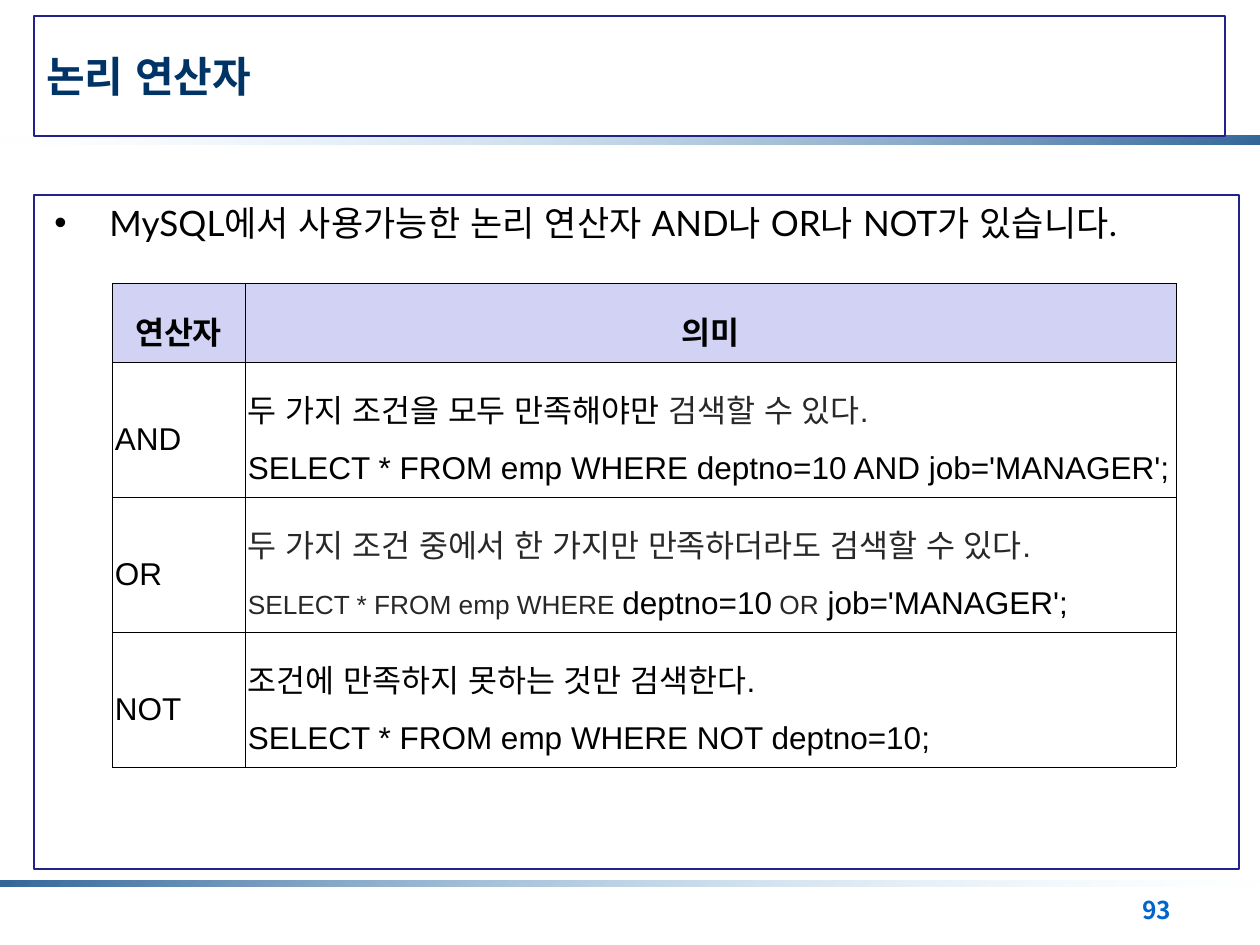
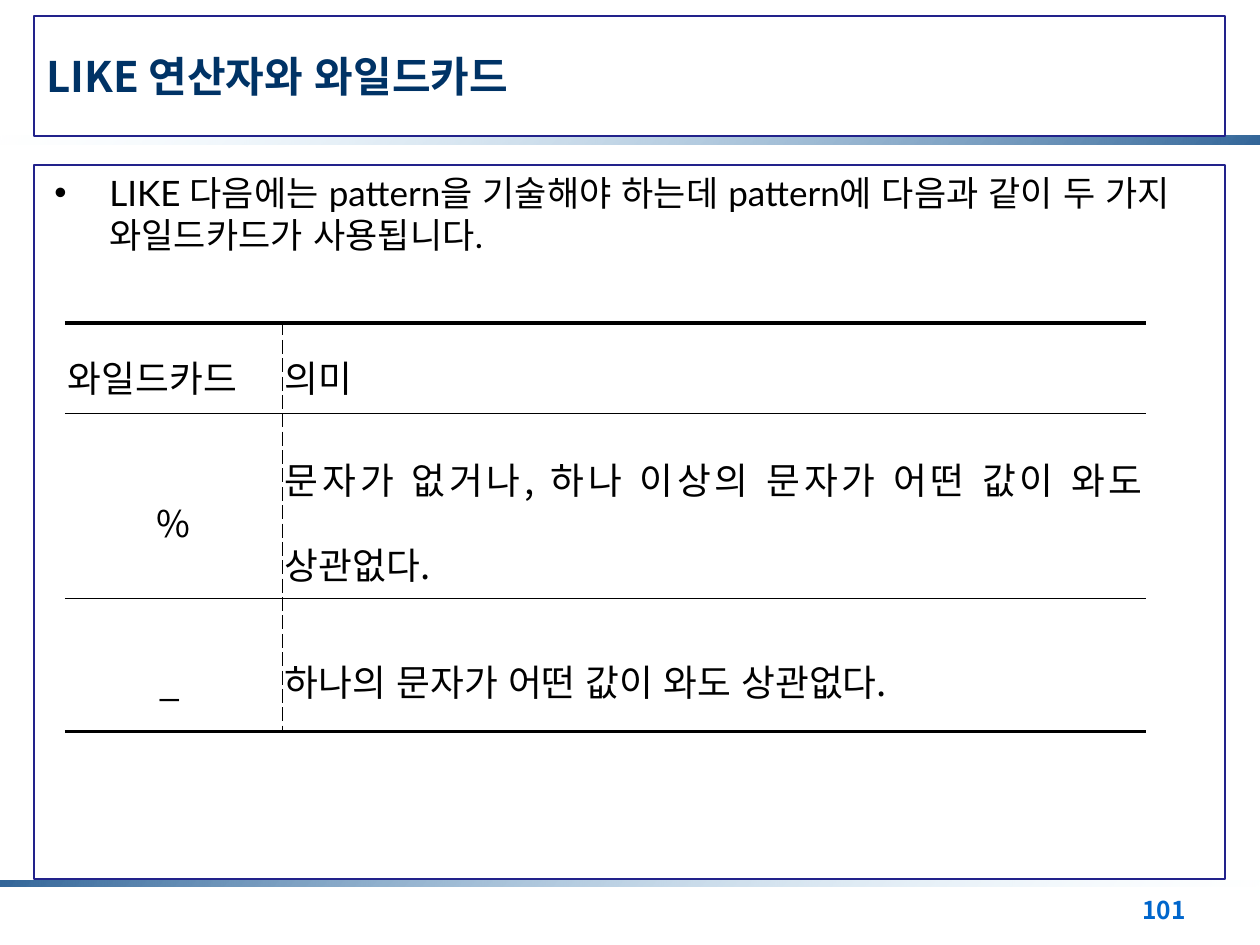
import pptx
import pptx.util
import pptx.dml.color
import pptx.enum.shapes
import pptx.enum.text
import pptx.oxml
import pptx.oxml.ns
from lxml import etree

SCALE = 914400 / 126
SANS = "Noto Sans CJK KR"
EAST_ASIAN = "Arial"
COLORS = {"title": "003366", "number": "0066CC", "frame": "22228B", "band": "336699",
          "mist": "CCECFF", "text": "000000", "soft": "282828", "head": "D2D2F4",
          "white": "FFFFFF"}
FORMATS = {
    "title": {"size": 24, "name": SANS, "bold": True, "color": "title"},
    "number": {"size": 14, "name": SANS, "bold": True, "color": "number"},
    "body": {"size": 20, "name": "Lato", "bold": False, "color": "text"},
    "cell": {"size": 18, "name": "Arial", "bold": False, "color": "text"},
    "head": {"size": 18, "name": "Arial", "bold": True, "color": "text"},
    "soft": {"size": 18, "name": "Arial", "bold": False, "color": "soft"},
    "small": {"size": 15, "name": "Arial", "bold": False, "color": "soft"},
    "wide": {"size": 21, "name": SANS, "bold": False, "color": "text"},
}
ALIGN = pptx.enum.text.PP_ALIGN
ANCHOR = pptx.enum.text.MSO_ANCHOR
SIDES = ("lnL", "lnR", "lnT", "lnB")


def px(n):
    return round(n * SCALE)


def rgb(key):
    return pptx.dml.color.RGBColor.from_string(COLORS[key])


def add_element(parent, tag, **attributes):
    return etree.SubElement(parent, pptx.oxml.ns.qn(tag), attributes)


class Deck:
    def __init__(self):
        self.prs = pptx.Presentation()
        self.prs.slide_width, self.prs.slide_height = px(1260), px(945)
        self.s = None

    def slide(self, title, number):
        self.s = self.prs.slides.add_slide(self.prs.slide_layouts[6])
        self.number(number)
        self.band(136, 9, [("mist", 0), ("band", 100)])
        self.band(881, 6, [("band", 100), ("mist", 0)])
        tf = self.frame(34, 16, 1191, 120, ANCHOR.MIDDLE)
        self.runs(tf.paragraphs[0], [(title, "title")])

    def runs(self, p, parts):
        for text, style in parts:
            r = p.add_run()
            r.text = text
            values = dict(FORMATS[style])
            r.font.color.rgb = rgb(values.pop("color"))
            values["size"] = pptx.util.Pt(values["size"])
            for key, value in values.items():
                setattr(r.font, key, value)
            add_element(r.font._element, "a:ea", typeface=EAST_ASIAN)

    def number(self, text):
        tf = self.s.shapes.add_textbox(px(1130), px(889), px(96), px(47)).text_frame
        tf.word_wrap = True
        self.runs(tf.paragraphs[0], [(text, "number")])

    def rect(self, x, y, w, h):
        sp = self.s.shapes.add_shape(pptx.enum.shapes.MSO_SHAPE.RECTANGLE,
                                     px(x), px(y), px(w), px(h))
        sp.shadow.inherit = False
        sp.fill.background()
        return sp

    def band(self, y, h, stops):
        sp = self.rect(0, y, 1260, h)
        sp.line.fill.background()
        sp.fill.gradient()
        grad = sp._element.spPr.find(pptx.oxml.ns.qn("a:gradFill"))
        for child in list(grad):
            grad.remove(child)
        stop_list = add_element(grad, "a:gsLst")
        for i, (color, opacity) in enumerate(stops):
            stop = add_element(stop_list, "a:gs", pos=str(i * 100000))
            tint = add_element(stop, "a:srgbClr", val=COLORS[color])
            add_element(tint, "a:alpha", val=str(opacity * 1000))
        add_element(grad, "a:lin", ang=str(45 * 60000), scaled="1")

    def frame(self, x, y, w, h, anchor):
        sp = self.rect(x, y, w, h)
        sp.line.color.rgb = rgb("frame")
        sp.line.width = 0
        tf = sp.text_frame
        tf.word_wrap = True
        tf.vertical_anchor = anchor
        tf.paragraphs[0].alignment = ALIGN.LEFT
        return tf

    def bullet_box(self, x, y, w, h, text):
        p = self.frame(x, y, w, h, ANCHOR.TOP).paragraphs[0]
        pPr = p._p.get_or_add_pPr()
        pPr.set("marL", str(px(63)))
        pPr.set("indent", str(px(-55)))
        add_element(add_element(pPr, "a:buClr"), "a:srgbClr", val=COLORS["text"])
        add_element(pPr, "a:buFont", typeface="Arial")
        add_element(pPr, "a:buChar", char="•")
        self.runs(p, [(text, "body")])

    def cell(self, c, lines, alignment, fill, borders):
        for side in ("left", "right", "top", "bottom"):
            setattr(c, "margin_" + side, px(3))
        c.vertical_anchor = ANCHOR.MIDDLE
        tf = c.text_frame
        for i, parts in enumerate(lines):
            p = tf.add_paragraph() if i else tf.paragraphs[0]
            p.alignment = alignment
            p.line_spacing = 1.6
            self.runs(p, parts)
        tcPr = c._tc.get_or_add_tcPr()
        for side, border in zip(SIDES, borders):
            width, dash = border or (0, "solid")
            ln = add_element(tcPr, "a:" + side, w=str(pptx.util.Pt(width)))
            if border:
                add_element(add_element(ln, "a:solidFill"), "a:srgbClr", val=COLORS["text"])
                add_element(ln, "a:prstDash", val=dash)
            else:
                add_element(ln, "a:noFill")
        if fill:
            c.fill.solid()
            c.fill.fore_color.rgb = rgb(fill)
        else:
            c.fill.background()

    def table(self, x, y, widths, heights, rows, look):
        table = self.s.shapes.add_table(len(rows), len(widths), px(x), px(y),
                                        px(sum(widths)), px(sum(heights))).table
        table.first_row = table.horz_banding = False
        for column, width in zip(table.columns, widths):
            column.width = px(width)
        for row, height in zip(table.rows, heights):
            row.height = px(height)
        for i, row in enumerate(rows):
            for j, lines in enumerate(row):
                self.cell(table.cell(i, j), lines, *look(i, j))


def operator_look(i, j):
    alignment, fill = (ALIGN.JUSTIFY, None) if i else (ALIGN.CENTER, "head")
    return alignment, fill, [(0.28, "solid")] * 4


def wildcard_look(i, j):
    thick, thin, dashed = (1.98, "solid"), (0.25, "solid"), (0.56, "dash")
    borders = [dashed if j else None, None if j else dashed,
               thin if i else thick, thick if i == 2 else thin]
    return ALIGN.CENTER if i and not j else ALIGN.JUSTIFY, "white", borders


def logical_operators(deck):
    deck.slide("논리 연산자", "93")
    deck.bullet_box(34, 195, 1205, 674,
                    "MySQL에서 사용가능한 논리 연산자 AND나 OR나 NOT가 있습니다.")
    rows = [
        [[[("연산자", "head")]], [[("의미", "head")]]],
        [[[("AND", "cell")]],
         [[("두 가지 조건을 모두 만족해야만 ", "cell"), ("검색할 수 있다.", "soft")],
          [("SELECT * FROM emp WHERE deptno=10 AND job='MANAGER';", "cell")]]],
        [[[("OR", "cell")]],
         [[("두 가지 조건 중에서 한 가지만 만족하더라도 검색할 수 있다.", "soft")],
          [("SELECT * FROM emp WHERE ", "small"), ("deptno=10", "cell"),
           (" OR", "small"), (" job='MANAGER';", "cell")]]],
        [[[("NOT", "cell")]],
         [[("조건에 만족하지 못하는 것만 검색한다.", "cell")],
          [("SELECT * FROM emp WHERE NOT deptno=10;", "cell")]]],
    ]
    deck.table(112, 283, [133, 931], [79, 135, 135, 135], rows, operator_look)


def like_wildcards(deck):
    deck.slide("LIKE 연산자와 와일드카드", "101")
    deck.bullet_box(34, 165, 1191, 714,
                    "LIKE 다음에는 pattern을 기술해야 하는데 pattern에 "
                    "다음과 같이 두 가지 와일드카드가 사용됩니다.")
    texts = [("와일드카드", "의미"),
             ("%", "문자가 없거나, 하나 이상의 문자가 어떤 값이 와도 상관없다."),
             ("_ ", "하나의 문자가 어떤 값이 와도 상관없다.")]
    rows = [[[[(text, "wide")]] for text in row] for row in texts]
    deck.table(65, 323, [217, 864], [90, 185, 134], rows, wildcard_look)


def main():
    deck = Deck()
    logical_operators(deck)
    like_wildcards(deck)
    deck.prs.save("out.pptx")


if __name__ == "__main__":
    main()
